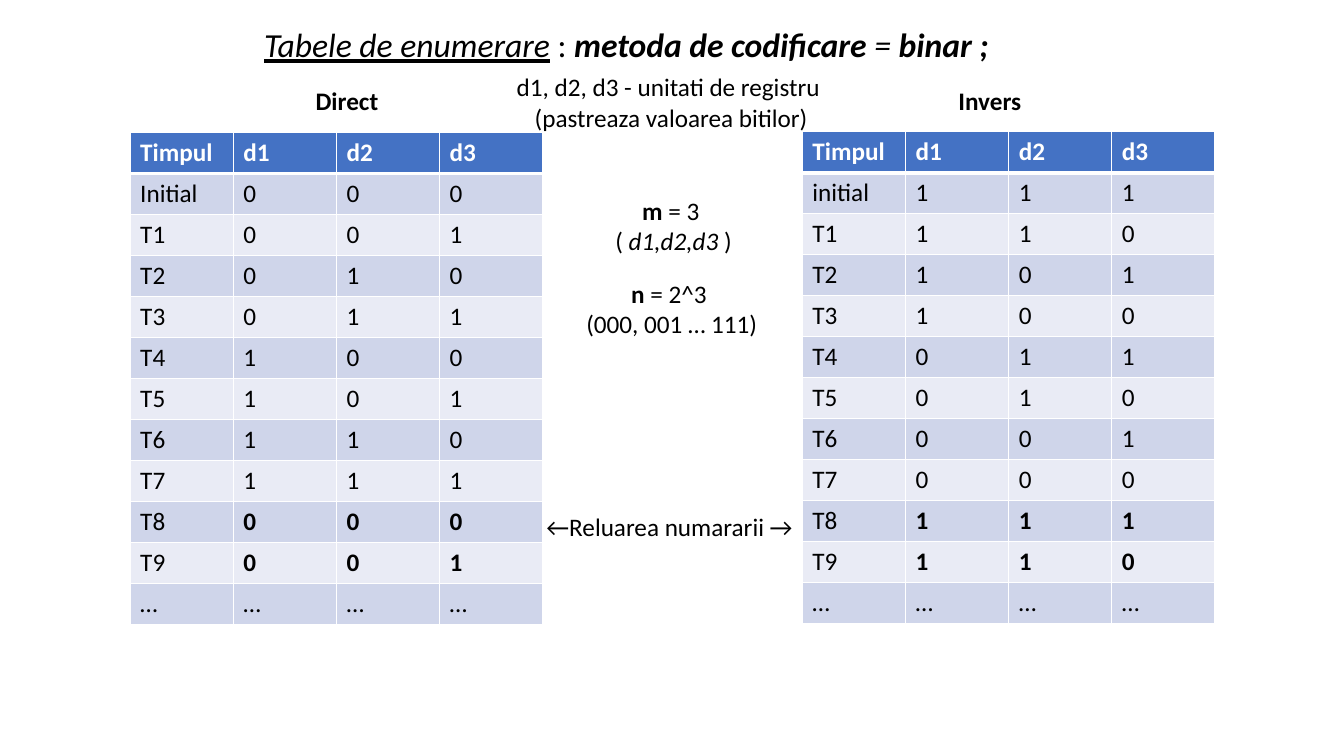
import pptx
import pptx.dml.color
import pptx.enum.text
import pptx.oxml
import pptx.oxml.ns
import pptx.util

Cm = pptx.util.Cm
Pt = pptx.util.Pt

FONT = "Calibri"
COLORS = {
    "text": "000000",
    "white": "FFFFFF",
    "head": "4472C4",
    "dark": "CFD5EA",
    "light": "E9EBF5",
}
ALIGN = {
    "left": pptx.enum.text.PP_ALIGN.LEFT,
    "center": pptx.enum.text.PP_ALIGN.CENTER,
}
BITS = 3
COL = Cm(2.6)
ROW = Cm(12.4 / 12)


def rgb(name):
    return pptx.dml.color.RGBColor.from_string(COLORS[name])


def add_run(para, text, size=18, color="text", bold=False, italic=False, under=False):
    run = para.add_run()
    run.text = text
    font = run.font
    font.name = FONT
    font.size = Pt(size)
    font.color.rgb = rgb(color)
    font.bold = bold
    font.italic = italic
    font.underline = under


def fill_text(frame, lines, align="center", **style):
    """Each line is a list of (text, format) pairs."""
    frame.word_wrap = True
    for num, line in enumerate(lines):
        para = frame.add_paragraph() if num else frame.paragraphs[0]
        para.alignment = ALIGN[align]
        para.line_spacing = 1.0
        para.space_before = Pt(0)
        for text, extra in line:
            add_run(para, text, **{**style, **extra})


def add_title(slide, box, line):
    title = slide.shapes.title
    title.left, title.top, title.width, title.height = map(Cm, box)
    frame = title.text_frame
    frame.auto_size = pptx.enum.text.MSO_AUTO_SIZE.NONE
    frame.vertical_anchor = pptx.enum.text.MSO_ANCHOR.TOP
    fill_text(frame, [line], align="left", size=24)


def add_label(slide, box, lines):
    label = slide.shapes.add_textbox(*map(Cm, box))
    fill_text(label.text_frame, lines)


def set_edge(cell, side, width):
    space = pptx.oxml.ns.nsdecls("a")
    edge = pptx.oxml.parse_xml(
        f'<a:ln{side} {space} w="{Pt(width)}"><a:solidFill>'
        f'<a:srgbClr val="{COLORS["white"]}"/></a:solidFill></a:ln{side}>'
    )
    cell._tc.get_or_add_tcPr().append(edge)


def fill_cell(cell, text, fill, widths, **style):
    for side, width in zip("LRTB", widths):
        set_edge(cell, side, width)
    cell.fill.solid()
    cell.fill.fore_color.rgb = rgb(fill)
    fill_text(cell.text_frame, [[(text, {})]], align="left", **style)


def count_rows(first, start, step):
    """Rows of a binary counter that wraps round after 2^BITS steps."""
    rows = [["Timpul"] + [f"d{num + 1}" for num in range(BITS)]]
    for tick in range(10):
        name = f"T{tick}" if tick else first
        value = (start + step * tick) % 2**BITS
        rows.append([name, *f"{value:0{BITS}b}"])
    rows.append(["…"] * (BITS + 1))
    return rows


def add_count(slide, left, top, rows):
    tall, wide = len(rows), len(rows[0])
    grid = slide.shapes.add_table(
        tall, wide, Cm(left), Cm(top), COL * wide, ROW * tall
    ).table
    for col in grid.columns:
        col.width = COL
    for num, row in enumerate(rows):
        grid.rows[num].height = ROW
        head = num == 0
        fill = "head" if head else "dark" if num % 2 else "light"
        widths = (1, 1, 3 if num == 1 else 1, 3 if head else 1)
        for pos, text in enumerate(row):
            again = row[0] in ("T8", "T9") and pos > 0
            fill_cell(grid.cell(num, pos), text, fill, widths,
                      color="white" if head else "text", bold=head or again)


def main():
    deck = pptx.Presentation()
    deck.slide_width, deck.slide_height = Cm(33.87), Cm(19.05)
    slide = deck.slides.add_slide(deck.slide_layouts[5])
    bold, slant = {"bold": True}, {"italic": True}

    # Title
    add_title(slide, (6.4, 0.48, 21.06, 1.28), [
        ("Tabele de enumerare", {"italic": True, "under": True}),
        (" : ", {}),
        ("metoda de codificare ", {**bold, **slant}),
        ("= ", slant),
        ("binar ;", {**bold, **slant}),
    ])

    # Counting tables
    add_count(slide, 3.28, 3.34, count_rows("Initial", 0, 1))
    add_count(slide, 20.22, 3.32, count_rows("initial", 2**BITS - 1, -1))

    # Table headings
    add_label(slide, (4.34, 2.03, 8.81, 1.02), [[("Direct", bold)]])
    add_label(slide, (20.22, 2.03, 9.45, 1.02), [[("Invers", bold)]])

    # Notes between the tables
    add_label(slide, (12.85, 12.75, 8.05, 1.02),
              [[("←Reluarea numararii →", {})]])
    add_label(slide, (9.88, 1.68, 14.07, 1.8), [
        [("d1, d2, d3 - unitati de registru ", {})],
        [("(pastreaza valoarea bitilor)", {})],
    ])
    add_label(slide, (14.02, 4.8, 5.77, 1.8), [
        [("m", bold), (" = 3", {})],
        [(" ( ", {}), ("d1,d2,d3 ", slant), (")", {})],
    ])
    add_label(slide, (13.64, 6.88, 6.58, 1.8), [
        [("n ", bold), ("= 2^3 ", {})],
        [("(000, 001 … 111)", {})],
    ])

    deck.save("out.pptx")


main()
